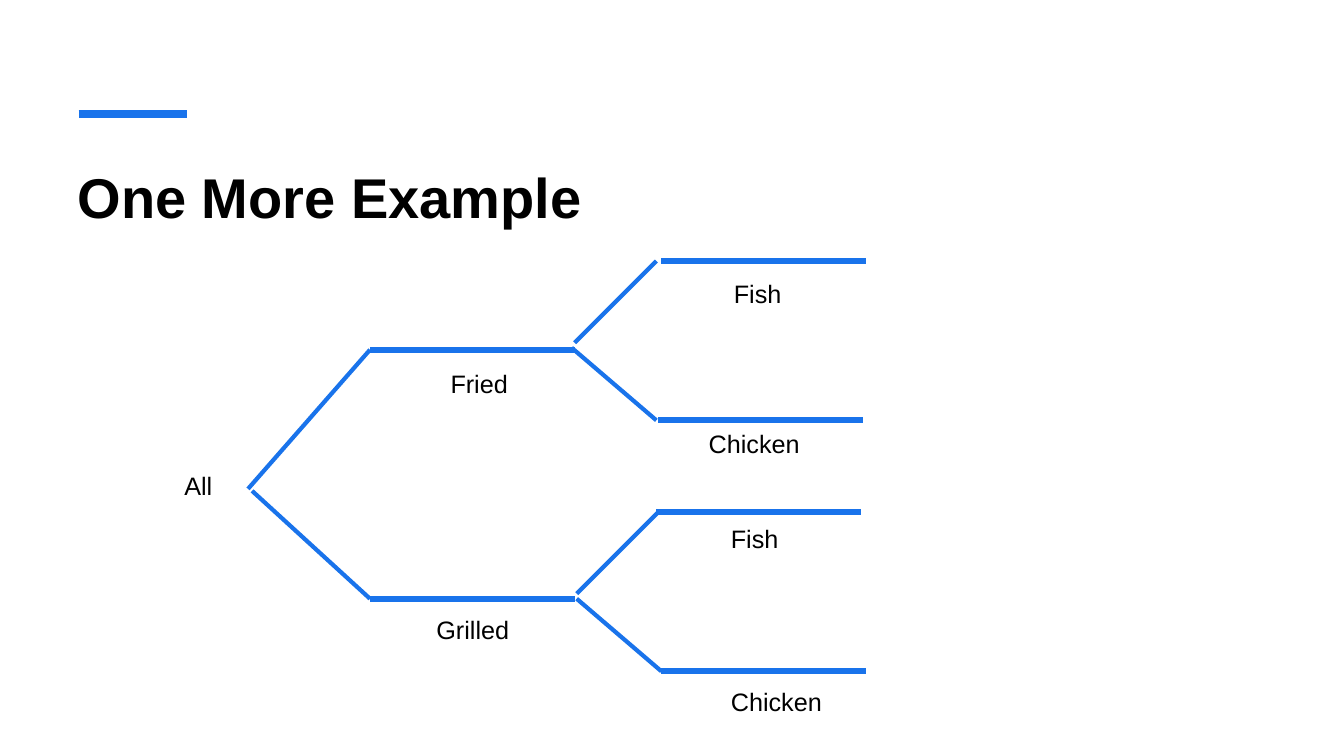
from lxml import etree
from pptx import Presentation
from pptx.dml.color import RGBColor
from pptx.enum.shapes import MSO_CONNECTOR
from pptx.enum.text import MSO_ANCHOR
from pptx.oxml.ns import qn
from pptx.util import Emu, Pt

STRAIGHT = MSO_CONNECTOR.STRAIGHT
TOP = MSO_ANCHOR.TOP
PX = 9144  # 100 px to the inch
FONT = "Arial"
COLORS = {"accent": "1973EB", "text": "000000", "background": "FFFFFF"}

BRANCH_LENGTH = 203
LABEL_HEIGHT = 40

# Offsets from the tree's top left corner
# Branch: left, top, then its label: text, left, top, width
BRANCHES = [
    (194, 88, "Fried", 264, 102, 83),
    (194, 335, "Grilled", 250, 346, 98),
    (483, 0, "Fish", 545, 12, 75),
    (480, 158, "Chicken", 520, 161, 129),
    (478, 249, "Fish", 542, 255, 75),
    (483, 407, "Chicken", 542, 417, 129),
]
# Fork: start x, start y, end x, end y
FORKS = [
    (73, 226, 194, 88),
    (77, 228, 194, 335),
    (397, 81, 478, 0),
    (394, 86, 478, 158),
    (399, 330, 480, 249),
    (399, 335, 483, 407),
]


def px(length):
    return Emu(length * PX)


def add_line(slide, x1, y1, x2, y2, weight):
    line = slide.shapes.add_connector(STRAIGHT, px(x1), px(y1), px(x2), px(y2))
    line.line.color.rgb = RGBColor.from_string(COLORS["accent"])
    line.line.width = Pt(weight)
    etree.SubElement(line._element.spPr, qn("a:effectLst"))


def add_text(slide, text, left, top, width, height, size, bold=False):
    box = slide.shapes.add_textbox(px(left), px(top), px(width), px(height))
    frame = box.text_frame
    frame.word_wrap = True
    frame.vertical_anchor = TOP
    paragraph = frame.paragraphs[0]
    paragraph.text = text
    paragraph.font.name = FONT
    paragraph.font.size = Pt(size)
    paragraph.font.bold = bold
    paragraph.font.color.rgb = RGBColor.from_string(COLORS["text"])
    return frame


def add_heading(slide, left, top, width):
    # Accent bar
    add_line(slide, left + 8, top, left + 115, top, 6)
    # Title
    frame = add_text(slide, "One More Example", left, top + 37, width, 120, 40, True)
    frame.margin_left = px(7)
    frame.margin_top = px(11)


def add_tree(slide, left, top):
    # Root label
    add_text(slide, "All", left, top + 203, 73, LABEL_HEIGHT, 18)
    # Sloping forks
    for x1, y1, x2, y2 in FORKS:
        add_line(slide, left + x1, top + y1, left + x2, top + y2, 3)
    # Level branches and their labels
    for x, y, text, label_x, label_y, label_width in BRANCHES:
        add_line(slide, left + x, top + y, left + x + BRANCH_LENGTH, top + y, 4.5)
        add_text(slide, text, left + label_x, top + label_y,
                 label_width, LABEL_HEIGHT, 18)


def main():
    presentation = Presentation()
    presentation.slide_width = px(1333)
    presentation.slide_height = px(750)
    slide = presentation.slides.add_slide(presentation.slide_layouts[6])
    fill = slide.background.fill
    fill.solid()
    fill.fore_color.rgb = RGBColor.from_string(COLORS["background"])
    add_heading(slide, 70, 113, 1191)
    add_tree(slide, 173, 259)
    presentation.save("out.pptx")


if __name__ == "__main__":
    main()
